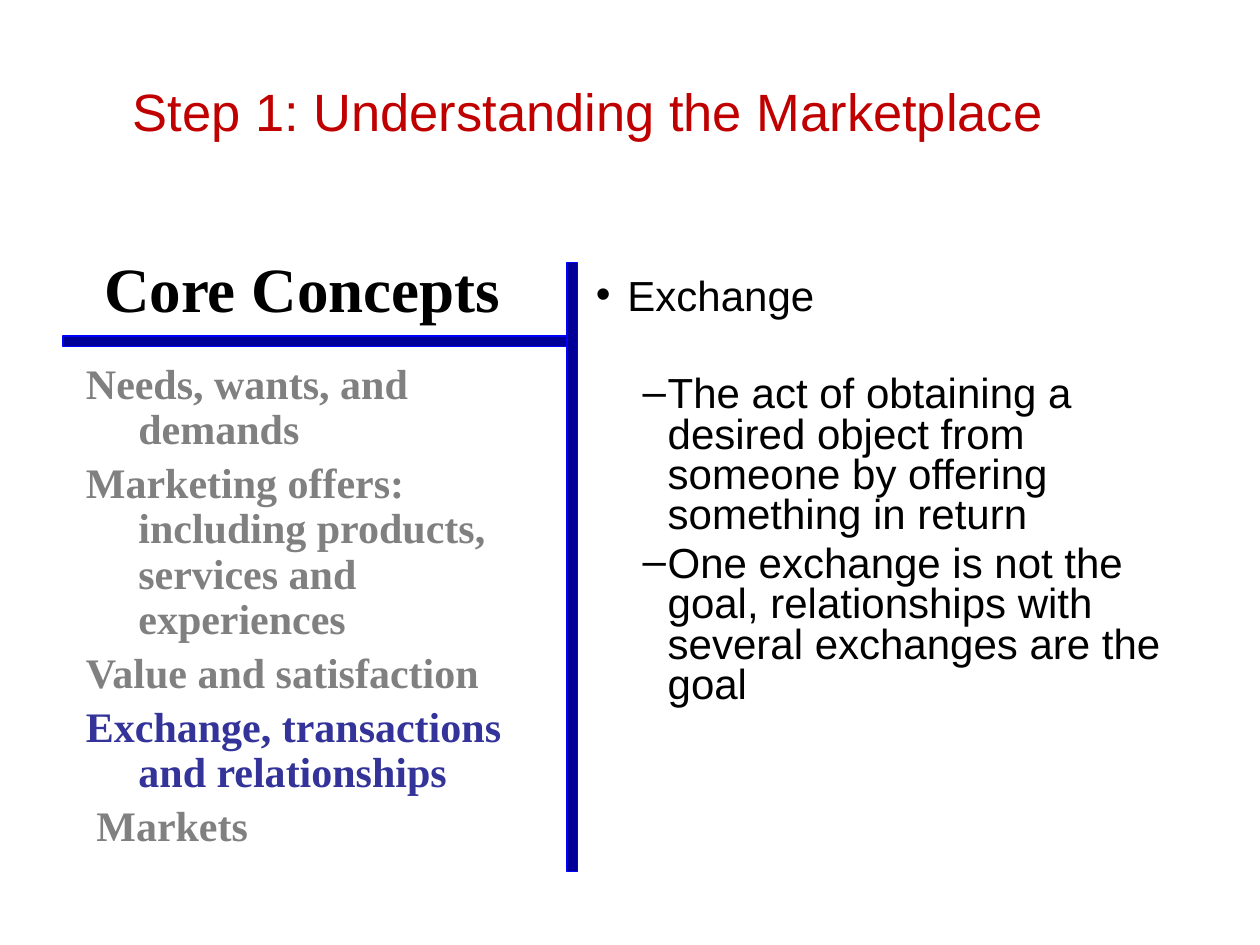
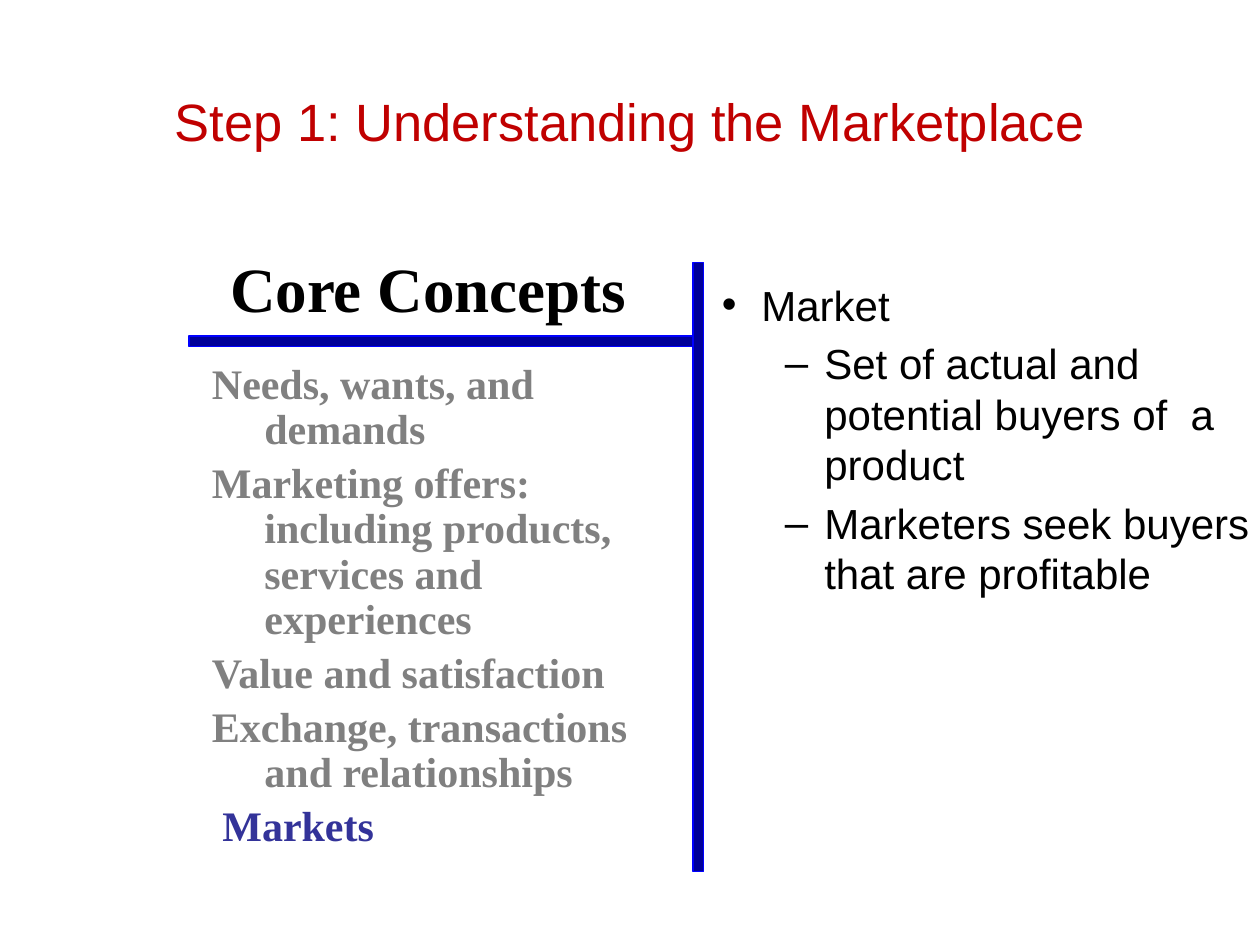
from pptx import Presentation
from pptx.dml.color import RGBColor
from pptx.enum import shapes, text
from pptx.oxml.ns import qn
from pptx.util import Pt
from lxml import etree

HUES = {"title": "C00000", "ink": "000000", "dim": "808080",
        "focus": "333399", "bar": "000099", "edge": "0000FF"}
SANS, SERIF = "Arial", "Times New Roman"
SIZE = 24
GAP = SIZE * 0.2  # space before each paragraph
TITLE = "Step 1: Understanding the Marketplace"
TOPICS = ["Needs, wants, and demands",
          "Marketing offers: including products, services and experiences",
          "Value and satisfaction",
          "Exchange, transactions and relationships",
          " Markets"]


def hue(name):
    return RGBColor.from_string(HUES[name])


def add_box(slide, left, top, width, height, wrap=True):
    box = slide.shapes.add_textbox(Pt(left), Pt(top), Pt(width), Pt(height))
    box.text_frame.word_wrap = wrap
    return box.text_frame


def add_para(frame, words, font, size, color, bold=False, before=0, lead=None):
    para = frame.paragraphs[0]
    if para.runs:
        para = frame.add_paragraph()
    para.space_before = Pt(before)
    para.line_spacing = lead
    run = para.add_run()
    run.text = words
    run.font.name, run.font.size, run.font.bold = font, Pt(size), bold
    run.font.color.rgb = hue(color)
    return para


def indent(para, left, hang, mark=None):
    props = para._p.get_or_add_pPr()
    props.set("marL", str(Pt(left)))
    props.set("indent", str(-Pt(hang)))
    if mark:
        etree.SubElement(props, qn("a:buFont")).set("typeface", SANS)
        etree.SubElement(props, qn("a:buChar")).set("char", mark)


def add_title(slide, left, top):
    frame = add_box(slide, left, top, 564, 90)
    frame.vertical_anchor = text.MSO_ANCHOR.MIDDLE
    para = add_para(frame, TITLE, SANS, 30, "title")
    para.alignment = text.PP_ALIGN.CENTER


def add_bar(slide, left, top, width, height):
    bar = slide.shapes.add_shape(shapes.MSO_SHAPE.RECTANGLE, Pt(left), Pt(top),
                                 Pt(width), Pt(height))
    bar.shadow.inherit = False
    bar.fill.solid()
    bar.fill.fore_color.rgb = hue("bar")
    bar.line.color.rgb = hue("edge")
    bar.line.width = Pt(0.75)


def add_panel(slide, left, height, focus):
    """Core concepts column, with the topic at index focus lit."""
    head = add_box(slide, left + 16.5, 144, 241, 46, wrap=False)
    head.auto_size = text.MSO_AUTO_SIZE.SHAPE_TO_FIT_TEXT
    add_para(head, "Core Concepts", SERIF, 36, "ink", True, 10.8, 0.9)
    add_bar(slide, left + 288, 150, 6, 348)
    add_bar(slide, left, 192, 288, 6)
    frame = add_box(slide, left + 6, 204, 270, height)
    for i, topic in enumerate(TOPICS):
        color = "focus" if i == focus else "dim"
        para = add_para(frame, topic, SERIF, SIZE, color, True, GAP, 0.9)
        indent(para, 30, 30)


def add_points(slide, place, term, points, steps, lead=None, skip=0):
    """Term with dashed points; steps are (left, hang) pairs per level."""
    frame = add_box(slide, *place)
    para = add_para(frame, term, SANS, SIZE, "ink", before=GAP, lead=lead)
    indent(para, *steps[0], "•")
    for i, point in enumerate(points):
        before = GAP if i else GAP + skip
        para = add_para(frame, point, SANS, SIZE, "ink", before=before, lead=lead)
        para.level = 1
        indent(para, *steps[1], "–")


def main():
    deck = Presentation()
    deck.slide_width, deck.slide_height = Pt(720), Pt(540)
    blank = deck.slide_layouts[6]

    # Exchange
    slide = deck.slides.add_slide(blank)
    add_points(slide, (333.5, 156, 363, 384), "Exchange",
               ["The act of obtaining a desired object from someone by "
                "offering something in return",
                "One exchange is not the goal, relationships with several "
                "exchanges are the goal"],
               [(18, 18), (41, 14.4)], lead=0.8, skip=27.8)
    add_panel(slide, 36, 288, focus=3)
    add_title(slide, 54, 18)

    # Market
    slide = deck.slides.add_slide(blank)
    add_points(slide, (405.5, 156, 327, 330), "Market",
               ["Set of actual and potential buyers of  a product",
                "Marketers seek buyers that are profitable"],
               [(22.5, 22.5), (58.5, 22.5)])
    add_panel(slide, 108, 264, focus=4)
    add_title(slide, 78, 24)

    deck.save("out.pptx")


if __name__ == "__main__":
    main()
